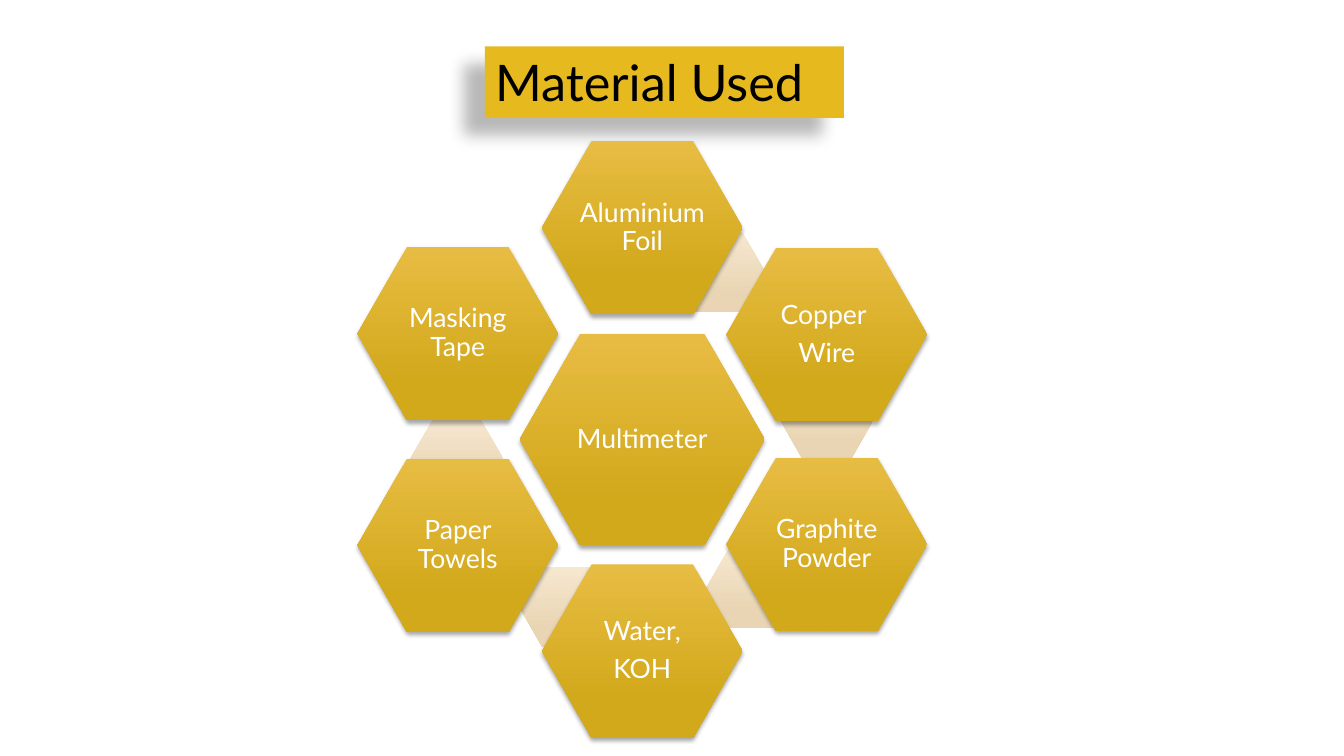
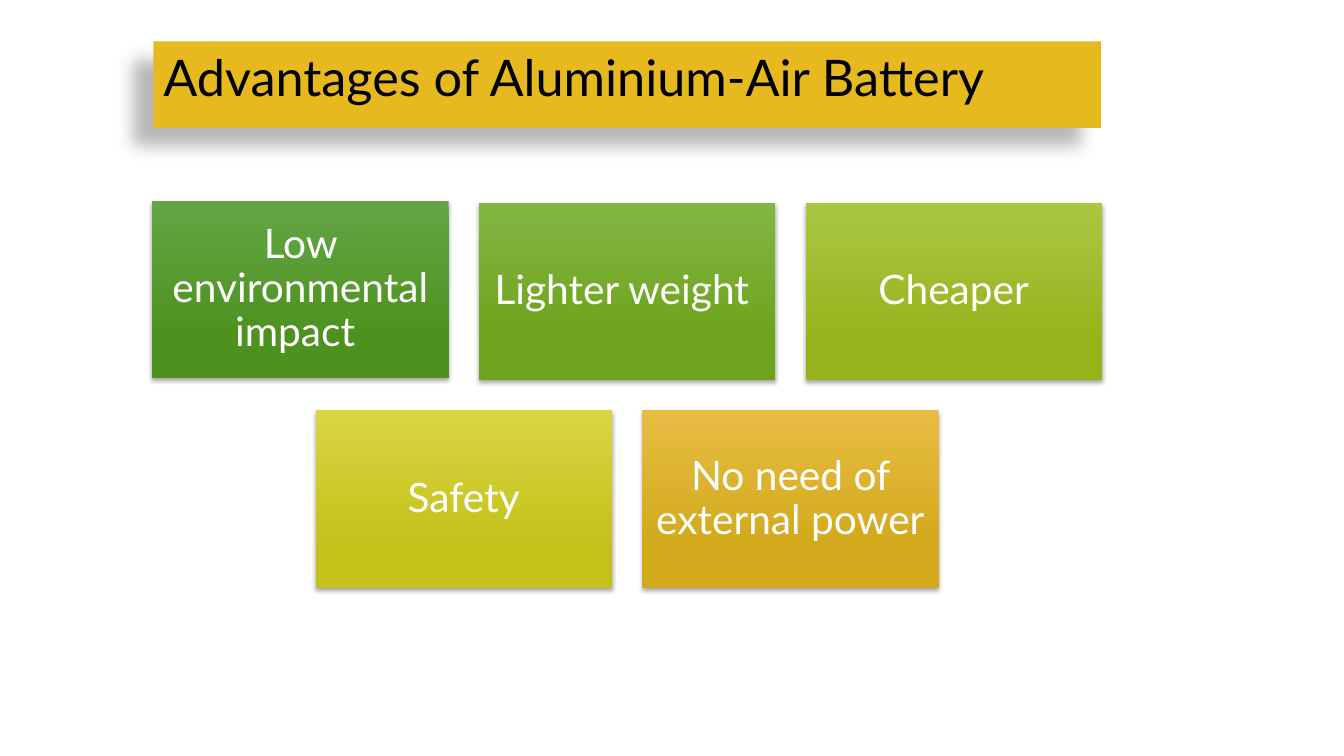
from lxml.etree import SubElement
from pptx import Presentation
from pptx.dml.color import RGBColor
from pptx.enum.shapes import MSO_SHAPE
from pptx.enum.text import MSO_ANCHOR, MSO_AUTO_SIZE, PP_ALIGN
from pptx.oxml.ns import qn
from pptx.util import Inches, Pt

HEX, RECT = MSO_SHAPE.HEXAGON, MSO_SHAPE.RECTANGLE
TOP, MIDDLE = MSO_ANCHOR.TOP, MSO_ANCHOR.MIDDLE
LEFT, CENTER = PP_ALIGN.LEFT, PP_ALIGN.CENTER
NO_FIT = MSO_AUTO_SIZE.NONE

# Shared style
FONT = "Lato"
BAND, BLACK, WHITE = "E6B91E", "000000", "FFFFFF"
GOLD = ("E7BC43", "D2A91B")
SAND = ("F6E7CF", "E9D5B3")
SOFT = (3, 2, 90, 35)  # blur, distance, angle, opacity
DEEP = (11.8, 19.7, 141, 28)

# Slide 1: hub, then ring parts as (lines, offset from hub, link offset)
HUB = (6.37, 4.36)
RING = [
    (["Aluminium Foil"], (0, -2.1), (0.76, -1.66)),
    (["Copper ", "Wire"], (1.83, -1.04), (1.83, -0.19)),
    (["Graphite Powder"], (1.83, 1.04), (1.09, 1.48)),
    (["Water,", "KOH"], (0, 2.1), (-0.76, 1.66)),
    (["Paper Towels"], (-1.83, 1.05), (-1.84, 0.19)),
    (["Masking Tape"], (-1.83, -1.05), None),
]

# Slide 2: rows of cards as (text, gradient, shift down)
ROWS = [
    [("Low environmental impact ", ("63A545", "4D921E"), -0.02),
     ("Lighter weight ", ("82B644", "6EA31D"), 0),
     ("Cheaper", ("AAC744", "97B31C"), 0)],
    [("Safety", ("D8D543", "C4C11A"), 0),
     ("No need of external power", GOLD, 0)],
]
CARD_W, CARD_H, GAP = 2.94, 1.76, 0.3
MID_X, ROW_Y = 6.22, 2.01


def rgb(code):
    return RGBColor.from_string(code)


def shade(shape, blur, dist, angle, alpha):
    shape.shadow.inherit = False
    box = shape._element.spPr.find(qn("a:effectLst"))
    outer = SubElement(box, qn("a:outerShdw"), blurRad=str(Pt(blur)),
                       dist=str(Pt(dist)), dir=str(angle * 60000),
                       algn="ctr", rotWithShape="0")
    tint = SubElement(outer, qn("a:srgbClr"), val=BLACK)
    SubElement(tint, qn("a:alpha"), val=str(alpha * 1000))


def write(shape, lines, size, color, align, anchor, pad=None):
    frame = shape.text_frame
    frame.word_wrap = True
    frame.auto_size = NO_FIT
    frame.vertical_anchor = anchor
    if pad is not None:
        frame.margin_left = frame.margin_right = Inches(pad)
        frame.margin_top = frame.margin_bottom = Inches(pad)
    for i, line in enumerate(lines):
        para = frame.add_paragraph() if i else frame.paragraphs[0]
        para.alignment = align
        if anchor == MIDDLE:
            para.line_spacing = 0.9
            para.space_after = Pt(size * 0.35)
        run = para.add_run()
        run.text = line
        run.font.name = FONT
        run.font.size = Pt(size)
        run.font.color.rgb = rgb(color)


def start(deck, text, x, y, w, h):
    """Add a slide with its title band."""
    slide = deck.slides.add_slide(deck.slide_layouts[5])
    title = slide.shapes.title
    title.left, title.top = Inches(x), Inches(y)
    title.width, title.height = Inches(w), Inches(h)
    title.fill.solid()
    title.fill.fore_color.rgb = rgb(BAND)
    shade(title, *DEEP)
    write(title, [text], 36, BLACK, LEFT, TOP)
    return slide


def block(slide, kind, mid, w, h, colors):
    """Add a gradient shape around its centre."""
    x, y = mid
    shape = slide.shapes.add_shape(kind, Inches(x - w / 2), Inches(y - h / 2),
                                   Inches(w), Inches(h))
    shape.shadow.inherit = False
    shape.line.fill.background()
    shape.fill.gradient()
    shape.fill.gradient_angle = 270
    for stop, color, pos in zip(shape.fill.gradient_stops, colors, (0, 0.78)):
        stop.color.rgb = rgb(color)
        stop.position = pos
    if kind == HEX:
        shape.adjustments[0] = 0.286
    return shape


def cell(slide, lines, mid, w, h):
    """Add a gold hexagon with text."""
    shape = block(slide, HEX, mid, w, h, GOLD)
    shade(shape, *SOFT)
    write(shape, lines, 19, WHITE, CENTER, MIDDLE, 0.03)


def shift(step):
    return HUB[0] + step[0], HUB[1] + step[1]


def main():
    deck = Presentation()
    deck.slide_width, deck.slide_height = Inches(13.33), Inches(7.5)

    # Materials
    slide = start(deck, "Material Used", 4.81, 0.46, 3.56, 0.71)
    cell(slide, ["Multimeter"], HUB, 2.43, 2.1)
    for lines, step, link in RING:
        if link:
            block(slide, HEX, shift(link), 0.92, 0.79, SAND)
        cell(slide, lines, shift(step), 1.99, 1.72)

    # Advantages
    slide = start(deck, "Advantages of Aluminium-Air Battery",
                  1.52, 0.41, 9.4, 0.86)
    for r, row in enumerate(ROWS):
        y = ROW_Y + CARD_H / 2 + r * (CARD_H + GAP)
        for c, (text, colors, drop) in enumerate(row):
            x = MID_X + (c - (len(row) - 1) / 2) * (CARD_W + GAP)
            card = block(slide, RECT, (x, y + drop), CARD_W, CARD_H, colors)
            shade(card, *SOFT)
            write(card, [text], 29, WHITE, CENTER, MIDDLE, 0.12)

    deck.save("out.pptx")


if __name__ == "__main__":
    main()
